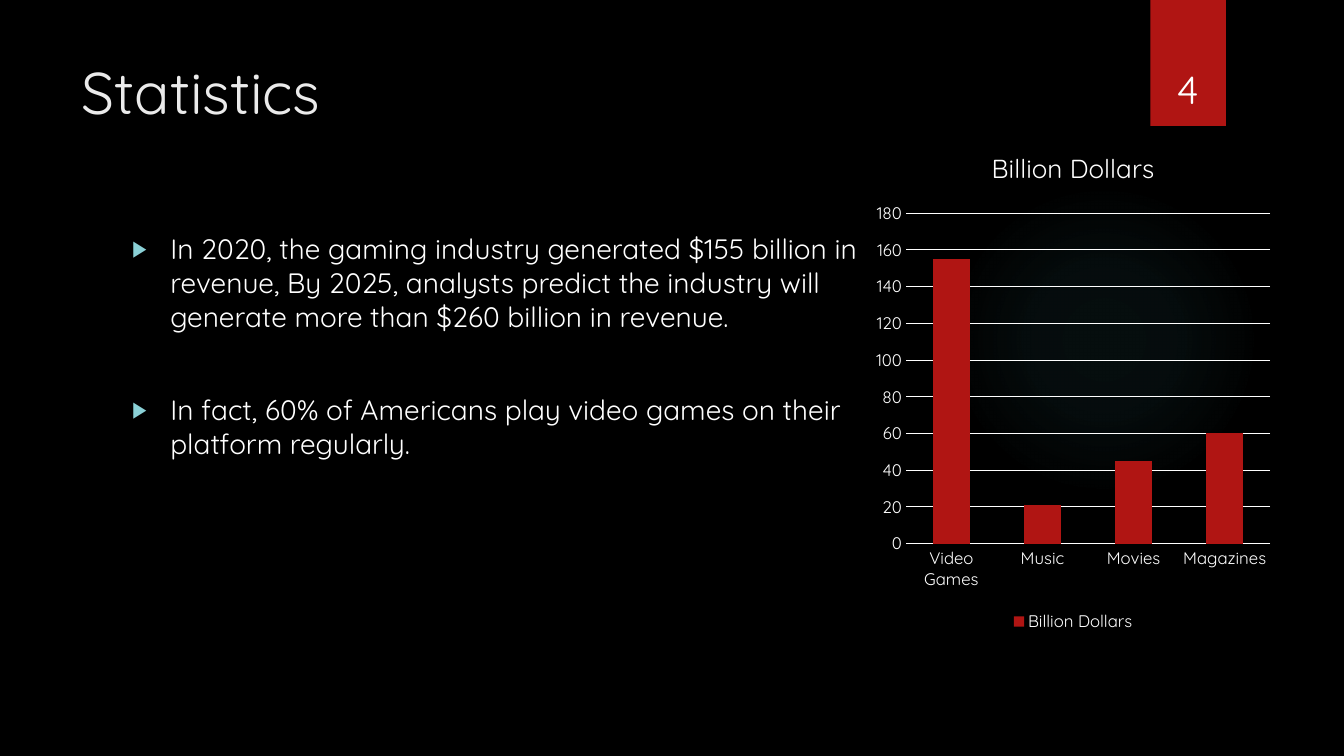
from lxml import etree
from pptx import Presentation
from pptx.chart.data import CategoryChartData
from pptx.dml.color import RGBColor
from pptx.enum.chart import XL_CHART_TYPE as CT, XL_LEGEND_POSITION as LP, XL_TICK_MARK as TM
from pptx.enum.shapes import MSO_SHAPE as MS
from pptx.enum.text import MSO_ANCHOR as MA, MSO_AUTO_SIZE as AS, PP_ALIGN as PA
from pptx.oxml import parse_xml
from pptx.oxml.ns import nsdecls, qn
from pptx.util import Inches, Pt

BLACK = RGBColor(0x00, 0x00, 0x00)
WHITE = RGBColor(0xFF, 0xFF, 0xFF)
PALE = RGBColor(0xEB, 0xEB, 0xEB)
RED = RGBColor(0xB0, 0x15, 0x13)
AQUA = RGBColor(0x8A, 0xD0, 0xD6)
TEAL = RGBColor(0x50, 0xB9, 0xC1)
FONT = "Quicksand"

POINTS = [
    "In 2020, the gaming industry generated $155 billion in revenue, By 2025, "
    "analysts predict the industry will generate more than $260 billion in\u00a0revenue.",
    "In fact, 60% of Americans play video games on their platform regularly.",
]
REVENUE = {"Video Games": 155, "Music": 21, "Movies": 45, "Magazines": 60}


def apply(obj, **values):
    """Set each named attribute on an object."""
    for name, value in values.items():
        setattr(obj, name, value)


def style_font(font, size, color=WHITE):
    """Give a font the deck's typeface, a size and a colour."""
    apply(font, name=FONT, size=Pt(size), bold=False)
    font.color.rgb = color


def place(sp, box):
    """Move a shape to a box given in inches."""
    apply(sp, **dict(zip(("left", "top", "width", "height"), map(Inches, box))))


def add_plain_shape(slide, kind, box):
    """Add a preset shape without outline or shadow."""
    sp = slide.shapes.add_shape(kind, *map(Inches, box))
    sp.shadow.inherit = False
    sp.line.fill.background()
    return sp


def add_glow(slide, box):
    """Draw the soft round glow behind the chart."""
    sp = add_plain_shape(slide, MS.OVAL, box)
    stops = "".join(
        f'<a:gs pos="{pos * 1000}"><a:srgbClr val="{TEAL}">'
        f'<a:alpha val="{alpha * 1000}"/></a:srgbClr></a:gs>'
        for pos, alpha in ((0, 7), (36, 6), (69, 0)))
    grad = parse_xml(
        f'<a:gradFill {nsdecls("a")}><a:gsLst>{stops}</a:gsLst><a:path path="circle">'
        '<a:fillToRect l="50000" t="50000" r="50000" b="50000"/></a:path></a:gradFill>')
    sp.fill.background()
    props = sp.fill._xPr
    props.replace(props.find(qn("a:noFill")), grad)


def add_page_ribbon(slide, box, number):
    """Draw the ribbon with the page number near its foot."""
    left, top, width, height = box
    sp = add_plain_shape(slide, MS.RECTANGLE, box)
    sp.fill.solid()
    sp.fill.fore_color.rgb = RED
    label = (left - 0.09, top + 0.32, width + 0.17, height - 0.41)
    tf = slide.shapes.add_textbox(*map(Inches, label)).text_frame
    apply(tf, word_wrap=True, vertical_anchor=MA.BOTTOM)
    p = tf.paragraphs[0]
    apply(p, text=number, alignment=PA.CENTER)
    style_font(p.font, 28)


def fill_title(sp, box, text):
    """Place and format the slide title."""
    place(sp, box)
    tf = sp.text_frame
    apply(tf, text=text, vertical_anchor=MA.TOP, auto_size=AS.NONE)
    p = tf.paragraphs[0]
    p.alignment = PA.LEFT
    style_font(p.font, 42, PALE)


def add_bullet(p):
    """Give a paragraph a hanging aqua arrow bullet."""
    props = p._p.get_or_add_pPr()
    apply_indent = {"marL": Inches(0.38), "indent": -Inches(0.38)}
    for name, value in apply_indent.items():
        props.set(name, str(value))
    color = etree.SubElement(props, qn("a:buClr"))
    etree.SubElement(color, qn("a:srgbClr"), val=str(AQUA))
    etree.SubElement(props, qn("a:buSzPct"), val="80000")
    etree.SubElement(props, qn("a:buFont"), typeface="Arial")
    etree.SubElement(props, qn("a:buChar"), char="▶")


def fill_points(sp, box, points):
    """Place the body and write its bulleted points."""
    place(sp, box)
    tf = sp.text_frame
    apply(tf, vertical_anchor=MA.TOP, auto_size=AS.NONE)
    for i, text in enumerate(points):
        p = tf.add_paragraph() if i else tf.paragraphs[0]
        apply(p, text=text, alignment=PA.LEFT, space_before=Pt(43 if i else 0))
        add_bullet(p)
        style_font(p.font, 20)


def add_revenue_chart(slide, box, name, revenue):
    """Add the column chart of revenue by medium."""
    data = CategoryChartData()
    data.categories = list(revenue)
    data.add_series(name, list(revenue.values()))
    chart = slide.shapes.add_chart(CT.COLUMN_CLUSTERED, *map(Inches, box), data).chart
    style_font(chart.font, 10)
    apply(chart, has_title=True, has_legend=True)
    p = chart.chart_title.text_frame.paragraphs[0]
    p.text = name
    style_font(p.runs[0].font, 18.6)
    apply(chart.legend, position=LP.BOTTOM, include_in_layout=False)
    style_font(chart.legend.font, 12)
    for axis in (chart.category_axis, chart.value_axis):
        apply(axis, major_tick_mark=TM.NONE, minor_tick_mark=TM.NONE)
        axis.format.line.fill.background()
        style_font(axis.tick_labels.font, 12)
    apply(chart.value_axis, minimum_scale=0, maximum_scale=180, major_unit=20)
    grid = chart.value_axis.major_gridlines.format.line
    grid.color.rgb = WHITE
    grid.width = Pt(0.75)
    plot = chart.plots[0]
    apply(plot, gap_width=150, vary_by_categories=False)
    fill = plot.series[0].format.fill
    fill.solid()
    fill.fore_color.rgb = RED


def build_statistics(prs):
    """Build the statistics slide."""
    slide = prs.slides.add_slide(prs.slide_layouts[1])
    slide.background.fill.solid()
    slide.background.fill.fore_color.rgb = BLACK
    title, body = slide.placeholders
    fill_title(title, (0.71, 0.5, 10.29, 1.53), "Statistics")
    fill_points(body, (1.21, 2.25, 7.4, 4.59), POINTS)
    add_glow(slide, (9.41, 1.83, 3.08, 3.08))
    add_page_ribbon(slide, (11.41, 0, 0.75, 1.25), "4")
    add_revenue_chart(slide, (8.61, 1.28, 4.07, 5.03), "Billion Dollars", REVENUE)


def main():
    """Create and save the deck."""
    prs = Presentation()
    apply(prs, slide_width=Inches(13.33), slide_height=Inches(7.5))
    build_statistics(prs)
    prs.save("out.pptx")


if __name__ == "__main__":
    main()
